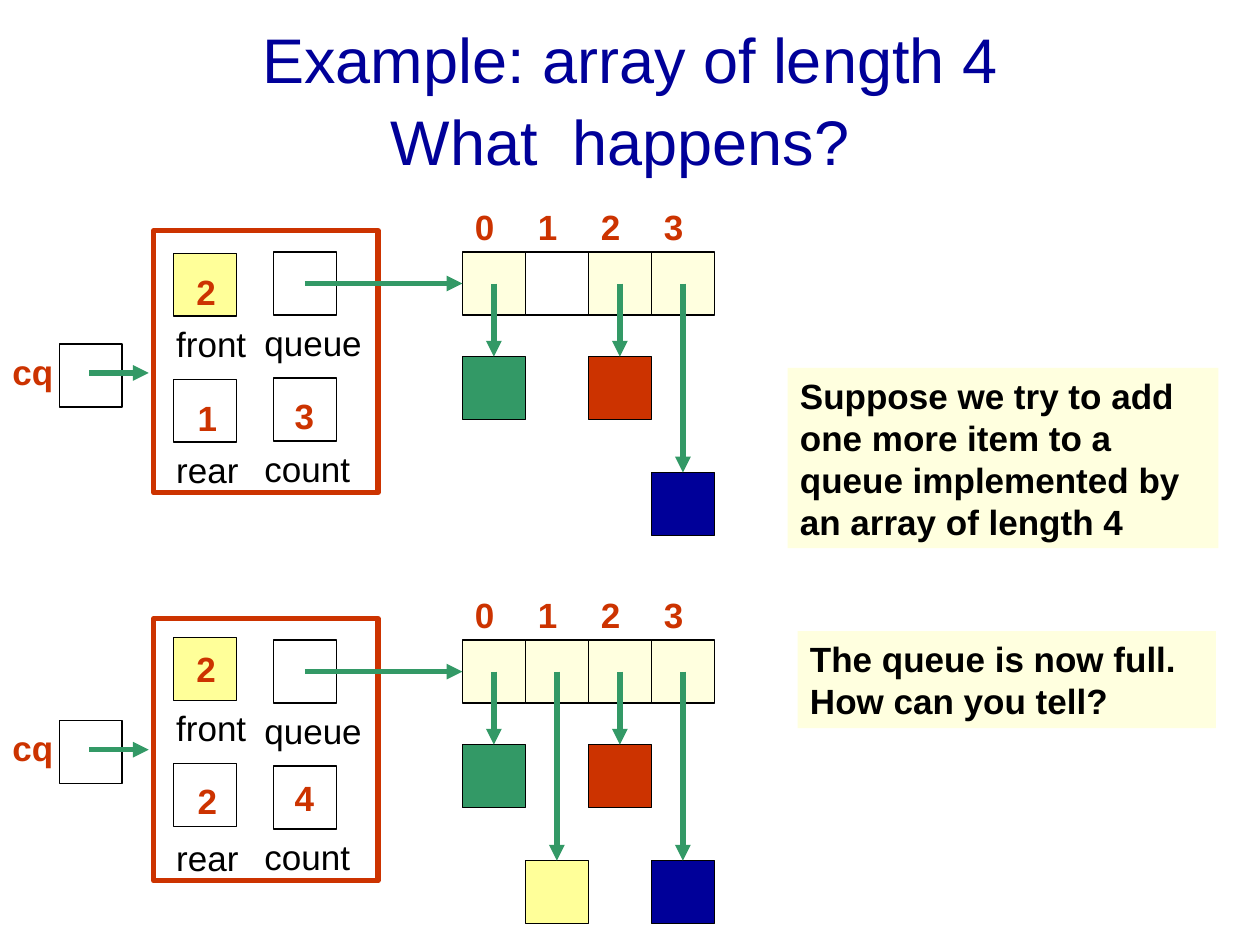
from dataclasses import dataclass

from lxml import etree
from pptx import Presentation
from pptx.dml.color import RGBColor
from pptx.enum.shapes import MSO_CONNECTOR, MSO_SHAPE
from pptx.enum.text import MSO_ANCHOR, MSO_AUTO_SIZE, PP_ALIGN
from pptx.oxml.ns import qn
from pptx.util import Inches, Pt

RECT = MSO_SHAPE.RECTANGLE
LINE = MSO_CONNECTOR.STRAIGHT
FIT = MSO_AUTO_SIZE.SHAPE_TO_FIT_TEXT
FIXED = MSO_AUTO_SIZE.NONE
MIDDLE, TOP = MSO_ANCHOR.MIDDLE, MSO_ANCHOR.TOP
LEFT, CENTER = PP_ALIGN.LEFT, PP_ALIGN.CENTER


@dataclass(frozen=True)
class Theme:
    font: str = "Arial"
    head: int = 36
    gap: int = 40
    body: int = 20
    thin: float = 0.75
    thick: float = 3
    black: str = "000000"
    white: str = "FFFFFF"
    navy: str = "000099"
    red: str = "CC3300"
    green: str = "339966"
    cream: str = "FFFFDF"
    yellow: str = "FFFF99"


T = Theme()

# Content
TITLE = ["Example: array of length 4", "What  happens?"]
NOTES = [
    ("Suppose we try to add one more item to a queue implemented by "
     "an array of length 4", (6.25, 2.92, 3.42, 1.43)),
    ("The queue is now full. How can you tell?", (6.33, 5.01, 3.32, 0.77)),
]
# Field: box left, label left, label width, value left, value width, fill
FIELDS = {
    "front": (1.38, 1.30, 0.83, 1.46, 0.58, T.yellow),
    "rear": (1.38, 1.30, 0.92, 1.47, 0.39, None),
    "queue": (2.17, 2.00, 1.00, None, None, None),
    "count": (2.17, 2.00, 1.00, 2.24, 0.39, None),
}
# Item by array index: fill, drop below the array top
ITEMS = [(T.green, 0.83), (T.yellow, 1.75), (T.red, 0.83), (T.navy, 1.75)]
# Each field: value, then drops of box, label and value below the array top
STATES = [
    {"top": 2, "cq": 0.73, "used": {0, 2, 3}, "fields": {
        "front": ("2", 0.01, 0.51, 0.10),
        "rear": ("1", 1.01, 1.51, 1.10),
        "queue": (None, 0, 0.50, None),
        "count": ("3", 1.00, 1.50, 1.08)}},
    {"top": 5.08, "cq": 0.64, "used": {0, 1, 2, 3}, "fields": {
        "front": ("2", -0.02, 0.48, 0.01),
        "rear": ("2", 0.98, 1.51, 1.06),
        "queue": (None, 0, 0.50, None),
        "count": ("4", 1.00, 1.50, 1.03)}},
]

# Grid
CELL = 0.5
HALF = CELL / 2
ARRAY = 3.67
ROW = 0.43


def rgb(code):
    return RGBColor.from_string(code)


def write(frame, *lines, size=T.body, color=T.black, bold=False,
          align=LEFT, anchor=TOP, fit=FIT):
    frame.word_wrap = True
    frame.auto_size = fit
    frame.vertical_anchor = anchor
    para = frame.paragraphs[0]
    para.alignment = align
    for i, line in enumerate(lines):
        if i:
            para.add_line_break()
        run = para.add_run()
        run.text = line
        font = run.font
        font.name, font.size, font.bold = T.font, Pt(size), bold
        font.color.rgb = rgb(color)
    return para


def text(shapes, words, x, y, w, **fmt):
    box = shapes.add_textbox(*map(Inches, (x, y, w, ROW)))
    write(box.text_frame, words, **fmt)


def rect(shapes, x, y, w=CELL, h=CELL, fill=None, line=T.black, width=T.thin):
    box = shapes.add_shape(RECT, *map(Inches, (x, y, w, h)))
    box.shadow.inherit = False
    if fill:
        box.fill.solid()
        box.fill.fore_color.rgb = rgb(fill)
    else:
        box.fill.background()
    if line:
        box.line.color.rgb = rgb(line)
        box.line.width = Pt(width)
    else:
        box.line.fill.background()
    return box


def arrow(shapes, *ends):
    link = shapes.add_connector(LINE, *map(Inches, ends))
    link.line.color.rgb = rgb(T.green)
    link.line.width = Pt(T.thick)
    props = link.element.spPr
    tip = etree.SubElement(props.find(qn("a:ln")), qn("a:tailEnd"))
    tip.set("type", "triangle")
    etree.SubElement(props, qn("a:effectLst"))


def draw_record(shapes, state):
    """Draw the queue record, its fields and the cq reference to it."""
    top = state["top"]
    for name, (value, box, label, drop) in state["fields"].items():
        x, left, wide, mark, span, fill = FIELDS[name]
        rect(shapes, x, top + box, fill=fill)
        text(shapes, name, left, top + label, wide)
        if value:
            text(shapes, value, mark, top + drop, span,
                 color=T.red, bold=True)
    rect(shapes, 1.22, top - 0.17, 1.78, 2.08, line=T.red, width=T.thick)
    y = top + state["cq"]
    text(shapes, "cq", 0, y, 0.94, color=T.red, bold=True)
    rect(shapes, 0.47, y)
    arrow(shapes, 0.71, y + 0.23, 1.18, y + 0.23)


def draw_array(shapes, state):
    """Draw the array cells and the items they refer to."""
    top = state["top"]
    mid = top + HALF
    for i, (fill, drop) in enumerate(ITEMS):
        x = ARRAY + i * CELL
        used = i in state["used"]
        text(shapes, str(i), x, top - 0.42, 0.39, color=T.red, bold=True)
        rect(shapes, x, top, fill=T.cream if used else T.white)
        if used:
            rect(shapes, x, top + drop, fill=fill)
            arrow(shapes, x + HALF, mid, x + HALF, top + drop)
    arrow(shapes, FIELDS["queue"][0] + HALF, mid, ARRAY, mid)


def main():
    deck = Presentation()
    deck.slide_width, deck.slide_height = Inches(10), Inches(7.5)
    slide = deck.slides.add_slide(deck.slide_layouts[5])

    title = slide.shapes.title
    title.left, title.top, title.width, title.height = map(
        Inches, (0.75, 0.17, 8.5, 1.25))
    para = write(title.text_frame, *TITLE, size=T.head, color=T.navy,
                 align=CENTER, anchor=MIDDLE, fit=FIXED)
    tail = para.add_run()
    tail.text = " "
    tail.font.name, tail.font.size = T.font, Pt(T.gap)

    for state in STATES:
        group = slide.shapes.add_group_shape()
        draw_record(group.shapes, state)
        draw_array(group.shapes, state)
    for words, place in NOTES:
        note = rect(slide.shapes, *place, fill=T.cream, line=None)
        write(note.text_frame, words, bold=True)
    deck.save("out.pptx")


if __name__ == "__main__":
    main()
